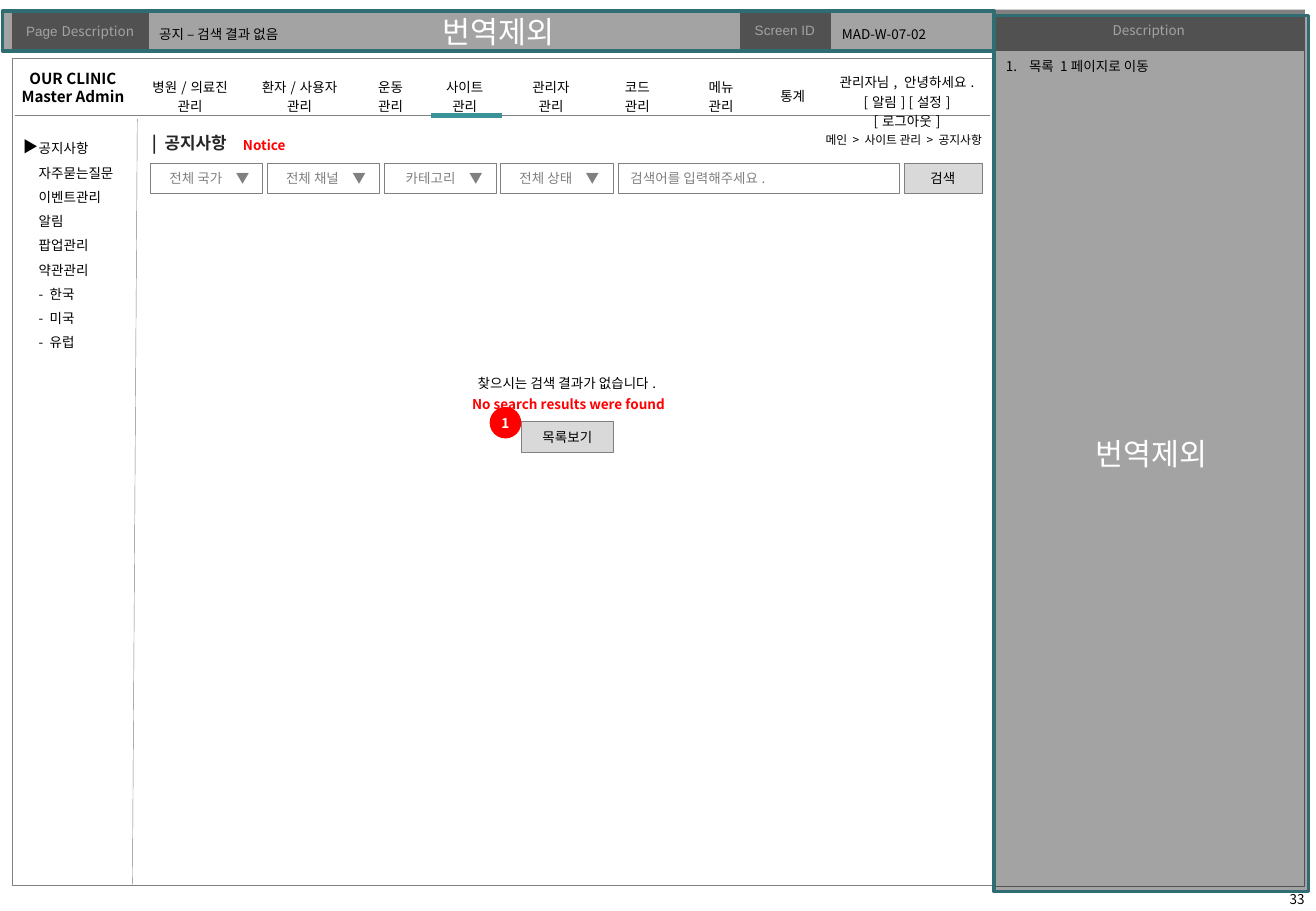
from lxml import etree
from pptx import Presentation
from pptx.dml.color import RGBColor
from pptx.enum.shapes import MSO_CONNECTOR, MSO_SHAPE
from pptx.enum.text import MSO_ANCHOR, MSO_AUTO_SIZE, PP_ALIGN
from pptx.oxml.ns import qn
from pptx.util import Inches, Pt

LEFT, CENTER, RIGHT = PP_ALIGN.LEFT, PP_ALIGN.CENTER, PP_ALIGN.RIGHT
TOP, MIDDLE = MSO_ANCHOR.TOP, MSO_ANCHOR.MIDDLE
RECTANGLE, OVAL = MSO_SHAPE.RECTANGLE, MSO_SHAPE.OVAL
SANS, ARIAL = "Noto Sans CJK KR", "Arial"
BLACK, WHITE, GREY, LIGHT = "000000", "FFFFFF", "808080", "D9D9D9"
RED, TEAL, DARK_TEAL, INK = "FF0000", "3B9399", "2F6D72", "262626"
NO_STYLE = "{2D5ABB26-0587-4C30-8999-92F81FD0307C}"
HAIR = 0.25

# Content
SLIDE_WIDTH, SLIDE_HEIGHT = 10.83, 7.5
HEADER = [  # width, fill, (text, font) runs
    (1.12, GREY, [("Page ", ARIAL), ("Description", SANS)]),
    (4.87, WHITE, []),
    (0.74, GREY, [("Screen ID", ARIAL)]),
    (1.35, WHITE, []),
]
EXCLUDED = "번역제외"
EXCLUDED_AREAS = [(8.18, 0.13, 2.59, 7.21), (0.02, 0.09, 8.16, 0.33)]
MENU = [
    (0.85, ["병원/의료진", "관리"]), (0.95, ["환자/사용자", "관리"]),
    (0.55, ["운동", "관리"]), (0.67, ["사이트", "관리"]),
    (0.75, ["관리자", "관리"]), (0.67, ["코드", "관리"]),
    (0.71, ["메뉴", "관리"]), (0.47, ["통계"]),
    (1.41, ["관리자님, 안녕하세요.", "[알림] [설정] [로그아웃]"]),
]
SIDEBAR = ["공지사항", "자주묻는질문", "이벤트관리", "알림", "팝업관리",
           "약관관리", "- 한국", "- 미국", "- 유럽"]
LINES = [  # x1, y1, x2, y2, colour, points
    (1.13, 0.98, 1.09, 7.28, GREY, HAIR),
    (0.12, 0.95, 8.15, 0.95, GREY, HAIR),
]
ACTIVE_TAB = [(3.56, 0.95, 4.13, 0.95, TEAL, 3), (3.55, 0.95, 4.09, 0.95, TEAL, 3)]
FILTERS = [("전체 국가", 0.92), ("전체 채널", 0.92), ("카테고리", 0.92), ("전체 상태", 0.93)]
SEARCH = ("검색어를 입력해주세요.", 2.31)
SEARCH_BUTTON = ("검색", 0.64)
ROW_LEFT, ROW_RIGHT, ROW_TOP, ROW_HEIGHT = 1.24, 8.08, 1.34, 0.25

presentation = Presentation()
presentation.slide_width = Inches(SLIDE_WIDTH)
presentation.slide_height = Inches(SLIDE_HEIGHT)
slide = presentation.slides.add_slide(presentation.slide_layouts[6])


def color(value):
    return RGBColor.from_string(value)


def add_run(paragraph, text, size=8, ink=BLACK, bold=False, font=SANS):
    run = paragraph.add_run()
    run.text = text
    run.font.size, run.font.bold, run.font.name = Pt(size), bold, font
    run.font.color.rgb = color(ink)
    etree.SubElement(run.font._element, qn("a:ea"), typeface=font)


def write(frame, lines, align=LEFT, spacing=None, **style):
    for index, line in enumerate(lines):
        paragraph = frame.add_paragraph() if index else frame.paragraphs[0]
        paragraph.alignment = align
        if spacing:
            paragraph.line_spacing = spacing
        add_run(paragraph, line, **style)


def set_frame(frame, inset, anchor, wrap):
    frame.margin_left = frame.margin_right = Inches(inset[0])
    frame.margin_top = frame.margin_bottom = Inches(inset[1])
    frame.vertical_anchor, frame.word_wrap = anchor, wrap


def add_box(box, lines=(), fill=None, line=GREY, weight=HAIR, kind=RECTANGLE,
            align=CENTER, inset=(0, 0), wrap=True, **style):
    shape = slide.shapes.add_shape(kind, *map(Inches, box))
    shape.shadow.inherit = False
    if fill:
        shape.fill.solid()
        shape.fill.fore_color.rgb = color(fill)
    else:
        shape.fill.background()
    if line:
        shape.line.color.rgb, shape.line.width = color(line), Pt(weight)
    else:
        shape.line.fill.background()
    set_frame(shape.text_frame, inset, MIDDLE, wrap)
    write(shape.text_frame, lines, align, **style)
    return shape


def add_text(box, lines, align=LEFT, inset=(0.1, 0.05), anchor=TOP,
             wrap=True, grow=True, **style):
    frame = slide.shapes.add_textbox(*map(Inches, box)).text_frame
    set_frame(frame, inset, anchor, wrap)
    frame.auto_size = MSO_AUTO_SIZE.SHAPE_TO_FIT_TEXT if grow else MSO_AUTO_SIZE.NONE
    write(frame, lines, align, **style)
    return frame


def add_line(x1, y1, x2, y2, ink, weight):
    connector = slide.shapes.add_connector(
        MSO_CONNECTOR.STRAIGHT, *map(Inches, (x1, y1, x2, y2)))
    connector.line.color.rgb, connector.line.width = color(ink), Pt(weight)
    etree.SubElement(connector._element.spPr, qn("a:effectLst"))


def add_row_table(left, top, height, widths):
    graphic = slide.shapes.add_table(1, len(widths), *map(
        Inches, (left, top, sum(widths), height)))
    table = graphic.table
    table.first_row = table.horz_banding = False
    for style_id in graphic._element.iter(qn("a:tableStyleId")):
        style_id.text = NO_STYLE
    for column, width in zip(table.columns, widths):
        column.width = Inches(width)
    for cell in table.iter_cells():
        cell.vertical_anchor = MIDDLE
    return table


def add_borders(cell):
    properties = cell._tc.get_or_add_tcPr()
    for index, side in enumerate(("lnL", "lnR", "lnT", "lnB")):
        border = etree.Element(qn("a:" + side), w=str(Pt(HAIR)))
        solid = etree.SubElement(border, qn("a:solidFill"))
        etree.SubElement(solid, qn("a:srgbClr"), val=GREY)
        properties.insert(index, border)


# Header band
header = add_row_table(0.1, 0.09, 0.32, [width for width, _, _ in HEADER])
for cell, (_, fill, runs) in zip(header.iter_cells(), HEADER):
    cell.fill.solid()
    cell.fill.fore_color.rgb = color(fill)
    cell.margin_left = cell.margin_right = cell.margin_top = cell.margin_bottom = Inches(0.04)
    add_borders(cell)
    paragraph = cell.text_frame.paragraphs[0]
    paragraph.alignment = CENTER
    for text, font in runs:
        add_run(paragraph, text, ink=WHITE, font=font)
    if not runs:
        etree.SubElement(paragraph._p, qn("a:endParaRPr"), sz="800")

# Frames, page number and shaded areas
add_box((0.1, 0.48, 8.07, 6.81))
add_box((8.17, 0.39, 2.56, 6.91))
add_box((8.17, 0.08, 2.57, 0.34), ["Description"], GREY, None, wrap=False, ink=WHITE)
add_text((10.5, 7.29, 0.35, 0.2), ["33"], CENTER, grow=False)
for area in EXCLUDED_AREAS:
    shade = add_box(area, [EXCLUDED], BLACK, DARK_TEAL, 2, inset=(0.1, 0.05), size=18, ink=WHITE)
    shade_color = shade._element.spPr.find(qn("a:solidFill"))[0]
    etree.SubElement(shade_color, qn("a:alpha"), val="36000")

# Sidebar and top menu
for line in LINES:
    add_line(*line)
add_text((0.22, 1.04, 0.88, 1.92), SIDEBAR, wrap=False, spacing=1.5)
menu = add_row_table(1.14, 0.54, 0.41, [width for width, _ in MENU])
for cell, (_, lines) in zip(menu.iter_cells(), MENU):
    cell.fill.background()
    write(cell.text_frame, lines, CENTER)
for line in ACTIVE_TAB:
    add_line(*line)
add_text((0.01, 0.52, 1.18, 0.4), ["OUR CLINIC", "Master Admin"], CENTER, size=9, bold=True)
add_text((0.09, 1.08, 0.33, 0.25), ["▶"], wrap=False, size=9)

# Page name, screen code and description list
add_text((1.27, 0.13, 5.01, 0.3), ["공지 – 검색 결과 없음"],
         inset=(0.04, 0.05), anchor=MIDDLE, grow=False)
add_text((6.83, 0.13, 1.3, 0.3), ["MAD-W-07-02"], anchor=MIDDLE, grow=False)
description = add_text((8.18, 0.43, 2.55, 6.9), ["목록 1페이지로 이동"], grow=False)
item = description.paragraphs[0]._p.get_or_add_pPr()
item.set("marL", str(Inches(0.19)))
item.set("indent", str(-Inches(0.19)))
etree.SubElement(item, qn("a:buFont"), typeface=SANS)
etree.SubElement(item, qn("a:buAutoNum"), type="arabicPeriod")

# Page heading and breadcrumb
SMALL = (0.05, 0.05)
add_text((1.2, 1.04, 0.75, 0.27), ["| 공지사항"], inset=SMALL, wrap=False,
         size=10, ink=INK, bold=True)
add_text((1.27, 1.13, 1.81, 0.13), ["Notice"], CENTER, (0, 0), ink=RED, bold=True)
add_text((6.64, 1.04, 1.49, 0.22), ["메인 > 사이트 관리 > 공지사항"], RIGHT, SMALL,
         wrap=False, size=7)

# Search row
fields = FILTERS + [SEARCH, SEARCH_BUTTON]
gap = (ROW_RIGHT - ROW_LEFT - sum(width for _, width in fields)) / (len(fields) - 1)
left = ROW_LEFT
for field in fields:
    label, width = field
    box = (left, ROW_TOP, width, ROW_HEIGHT)
    if field == SEARCH_BUTTON:
        add_box(box, [label], LIGHT)
    elif field == SEARCH:
        add_box(box, [label], align=LEFT, inset=(0.1, 0), ink=GREY)
    else:
        shape = add_box(box, [f"\t{label}\t▼"], WHITE, align=LEFT, ink=GREY)
        stops = etree.SubElement(shape.text_frame.paragraphs[0]._p.get_or_add_pPr(), qn("a:tabLst"))
        for position, side in ((0.59, "r"), (0.7, "l")):
            etree.SubElement(stops, qn("a:tab"), pos=str(Inches(position)), algn=side)
    left += width + gap

# Empty result message
add_box((4.29, 3.47, 0.76, 0.25), ["목록보기"], LIGHT)
add_text((3.81, 3.04, 1.71, 0.24), ["찾으시는 검색 결과가 없습니다."], CENTER, SMALL, wrap=False)
add_text((3.21, 3.26, 2.94, 0.13), ["No search results were found"], CENTER, (0, 0),
         ink=RED, bold=True)
add_box((4.03, 3.35, 0.26, 0.26), ["1"], RED, None, kind=OVAL, ink=WHITE, bold=True)

presentation.save("out.pptx")
